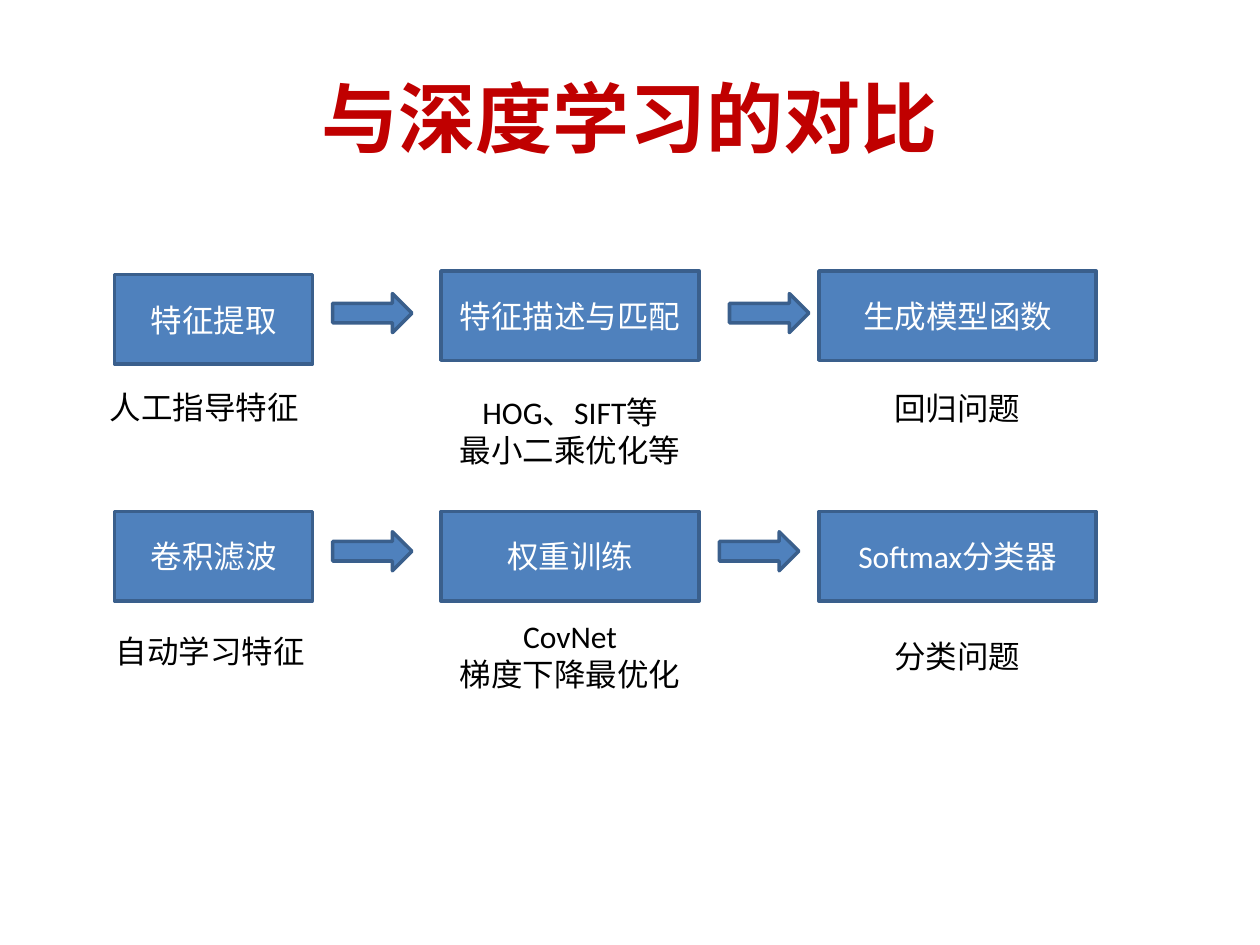
from dataclasses import dataclass
from lxml.etree import SubElement
from pptx import Presentation
from pptx.dml.color import RGBColor
from pptx.enum.shapes import MSO_SHAPE
from pptx.enum.text import MSO_ANCHOR, MSO_AUTO_SIZE, PP_ALIGN
from pptx.oxml.ns import qn
from pptx.util import Emu, Pt

SCALE = 9144


@dataclass(frozen=True)
class Theme:
    fill: str = "4F81BD"
    edge: str = "3A5F8C"
    light: str = "FFFFFF"
    dark: str = "000000"
    red: str = "C00000"
    latin: str = "Calibri"
    asian: str = "Noto Sans CJK SC"
    head: int = 44
    body: int = 18
    line: int = 2


THEME = Theme()


def px(*nums):
    return [Emu(num * SCALE) for num in nums]


def write(frame, lines, color, size=THEME.body, font=THEME.latin, bold=False):
    for row, line in enumerate(lines):
        para = frame.add_paragraph() if row else frame.paragraphs[0]
        para.alignment = PP_ALIGN.CENTER
        run = para.add_run()
        run.text = line
        run.font.size = Pt(size)
        run.font.bold = bold
        run.font.color.rgb = RGBColor.from_string(color)
        run.font.name = font
        SubElement(run.font._element, qn("a:ea"), typeface=THEME.asian)


def add_block(slide, kind, area):
    shape = slide.shapes.add_shape(kind, *px(*area))
    shape.shadow.inherit = False
    shape.fill.solid()
    shape.fill.fore_color.rgb = RGBColor.from_string(THEME.fill)
    shape.line.color.rgb = RGBColor.from_string(THEME.edge)
    shape.line.width = Pt(THEME.line)
    return shape


def add_step(slide, area, label):
    frame = add_block(slide, MSO_SHAPE.RECTANGLE, area).text_frame
    frame.word_wrap = True
    frame.vertical_anchor = MSO_ANCHOR.MIDDLE
    write(frame, [label], THEME.light)


def add_note(slide, area, lines, wrap=True):
    frame = slide.shapes.add_textbox(*px(*area)).text_frame
    frame.word_wrap = wrap
    frame.auto_size = MSO_AUTO_SIZE.SHAPE_TO_FIT_TEXT
    write(frame, lines, THEME.dark)


def add_title(slide, area, label):
    frame = slide.shapes.add_textbox(*px(*area)).text_frame
    frame.word_wrap = True
    frame.vertical_anchor = MSO_ANCHOR.MIDDLE
    write(frame, [label], THEME.red, THEME.head, THEME.asian, True)


def main():
    deck = Presentation()
    deck.slide_width, deck.slide_height = px(1000, 750)
    slide = deck.slides.add_slide(deck.slide_layouts[6])
    add_title(slide, (50, 30, 900, 125), "与深度学习的对比")

    cols = [(91, 157), (350, 205), (650, 220)]
    flows = [
        ((218, 215, 215), ("特征提取", "特征描述与匹配", "生成模型函数")),
        ((406, 406, 406), ("卷积滤波", "权重训练", "Softmax分类器")),
    ]
    for tops, labels in flows:
        for (left, wide), top, label in zip(cols, tops, labels):
            add_step(slide, (left, top, wide, 71), label)

    for top, lefts in [(233, (264, 579)), (422, (264, 571))]:
        for left in lefts:
            add_block(slide, MSO_SHAPE.RIGHT_ARROW, (left, top, 63, 31))

    notes = [
        ((76, 303, 172, 40), ["人工指导特征"], False),
        ((350, 307, 205, 131), ["HOG、SIFT等", "最小二乘优化等"], True),
        ((657, 304, 205, 71), ["回归问题"], True),
        ((81, 497, 172, 40), ["自动学习特征"], False),
        ((350, 485, 205, 71), ["CovNet", "梯度下降最优化"], True),
        ((657, 501, 205, 40), ["分类问题"], True),
    ]
    for area, lines, wrap in notes:
        add_note(slide, area, lines, wrap)
    deck.save("out.pptx")


if __name__ == "__main__":
    main()
